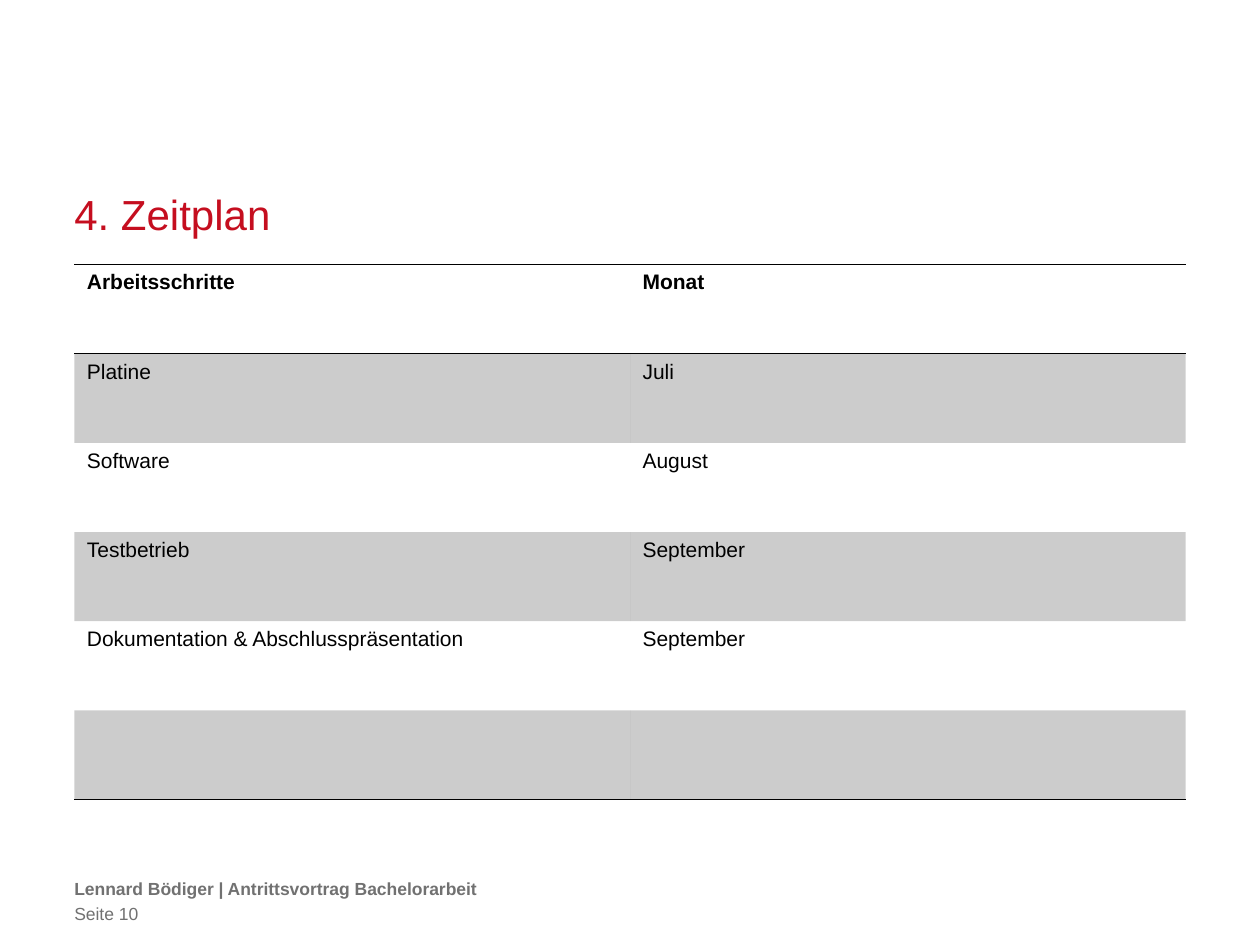
from dataclasses import dataclass

from lxml.etree import SubElement
from pptx import Presentation
from pptx.dml.color import RGBColor
from pptx.enum.text import MSO_ANCHOR as Anchor, MSO_AUTO_SIZE as AutoSize, PP_ALIGN as Align
from pptx.oxml.ns import qn
from pptx.util import Inches, Pt

WIDTH, HEIGHT = Inches(10), Inches(7.5)
MARGIN, CONTENT = 0.059, 0.882
BLACK, RED, GREY = "000000", "C50E1F", "717171"
NO_STYLE = "{2D5ABB26-0587-4C30-8999-92F81FD0307C}"
ROWS = [
    ("Arbeitsschritte", "Monat"),
    ("Platine", "Juli"),
    ("Software", "August"),
    ("Testbetrieb", "September"),
    ("Dokumentation & Abschlusspräsentation", "September"),
    ("", ""),
]


@dataclass
class FooterLine:
    """A footer line, with its top as a share of the slide height."""
    text: str
    top: float
    bold: bool = False


FOOTER = [
    FooterLine("Lennard Bödiger | Antrittsvortrag Bachelorarbeit", 0.929, True),
    FooterLine("Seite 10", 0.956),
]


def color(value: str) -> RGBColor:
    """Turn a hex string into a colour."""
    return RGBColor.from_string(value)


def place(shape, top: float, width: float, height: float) -> None:
    """Set a shape at the left margin, measured in shares of the slide."""
    shape.left, shape.top = int(WIDTH * MARGIN), int(HEIGHT * top)
    shape.width, shape.height = int(WIDTH * width), int(HEIGHT * height)


def add_run(paragraph, text: str, size: float, tint: str, bold: bool = False) -> None:
    """Append a formatted run to a left-aligned paragraph."""
    paragraph.alignment = Align.LEFT
    run = paragraph.add_run()
    run.text = text
    run.font.name, run.font.size, run.font.bold = "Arial", Pt(size), bold
    run.font.color.rgb = color(tint)


def clear_margins(frame) -> None:
    """Remove the insets of a text frame and let it wrap."""
    frame.margin_left = frame.margin_right = frame.margin_top = frame.margin_bottom = 0
    frame.word_wrap = True


def add_border(cell, side: str) -> None:
    """Draw a black one-point border on one side of a cell."""
    line = SubElement(cell._tc.get_or_add_tcPr(), qn(f"a:{side}"), w=str(Pt(1)))
    SubElement(SubElement(line, qn("a:solidFill")), qn("a:srgbClr"), val=BLACK)


def shade(cell, banded: bool) -> None:
    """Fill a banded cell with 20 % black and leave any other clear."""
    if not banded:
        cell.fill.background()
        return
    cell.fill.solid()
    cell.fill.fore_color.rgb = color(BLACK)
    tint = cell._tc.tcPr.find(f"{qn('a:solidFill')}/{qn('a:srgbClr')}")
    SubElement(tint, qn("a:alpha"), val="20000")


def add_title(slide, text: str) -> None:
    """Format and fill the title placeholder."""
    title = slide.shapes.title
    place(title, 0.201, CONTENT, 0.052)
    frame = title.text_frame
    clear_margins(frame)
    frame.vertical_anchor, frame.auto_size = Anchor.BOTTOM, AutoSize.NONE
    frame.paragraphs[0].line_spacing = Pt(30)
    add_run(frame.paragraphs[0], text, 24, RED)


def add_schedule(slide) -> None:
    """Add the schedule with ruled header, bands and closing line."""
    frame = slide.shapes.add_table(len(ROWS), 2, int(WIDTH * MARGIN), int(HEIGHT * 0.28),
                                   int(WIDTH * CONTENT), int(HEIGHT * 0.566))
    table = frame.table
    table.horz_banding = table.first_row = False
    table._tbl.tblPr.find(qn("a:tableStyleId")).text = NO_STYLE
    for row, texts in enumerate(ROWS):
        for column, text in enumerate(texts):
            cell = table.cell(row, column)
            if row == 0:
                add_border(cell, "lnT")
            if row in (0, len(ROWS) - 1):
                add_border(cell, "lnB")
            shade(cell, row % 2 == 1)
            if text:
                add_run(cell.text_frame.paragraphs[0], text, 12, BLACK, row == 0)


def add_footer_line(slide, line: FooterLine) -> None:
    """Add one line of the footer."""
    box = slide.shapes.add_textbox(0, 0, 0, 0)
    place(box, line.top, 0.724, 0.023)
    clear_margins(box.text_frame)
    add_run(box.text_frame.paragraphs[0], line.text, 10, GREY, line.bold)


def main() -> None:
    """Build and save the slide."""
    presentation = Presentation()
    presentation.slide_width, presentation.slide_height = WIDTH, HEIGHT
    slide = presentation.slides.add_slide(presentation.slide_layouts[5])
    add_title(slide, "4. Zeitplan")
    add_schedule(slide)
    for line in FOOTER:
        add_footer_line(slide, line)
    presentation.save("out.pptx")


if __name__ == "__main__":
    main()
